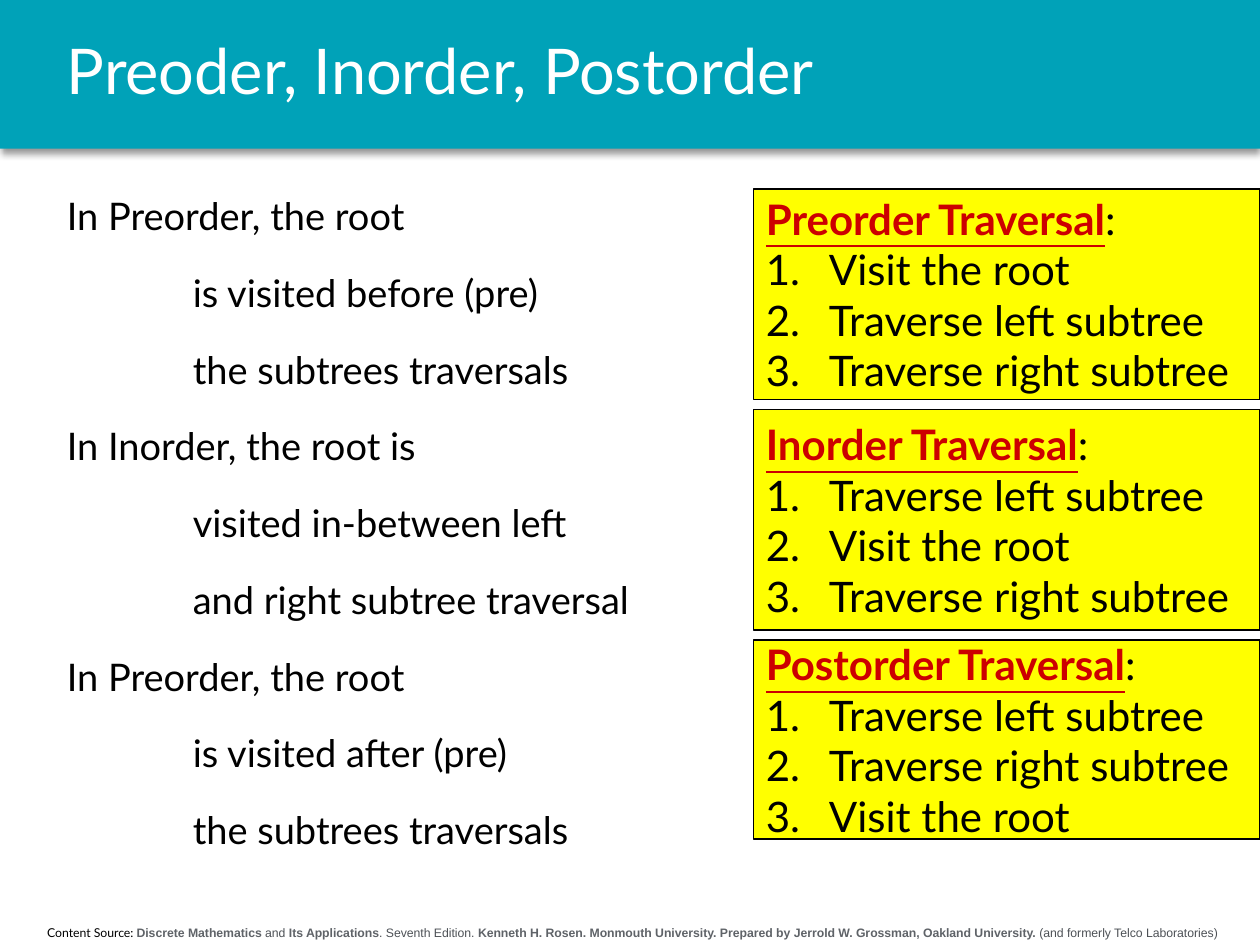
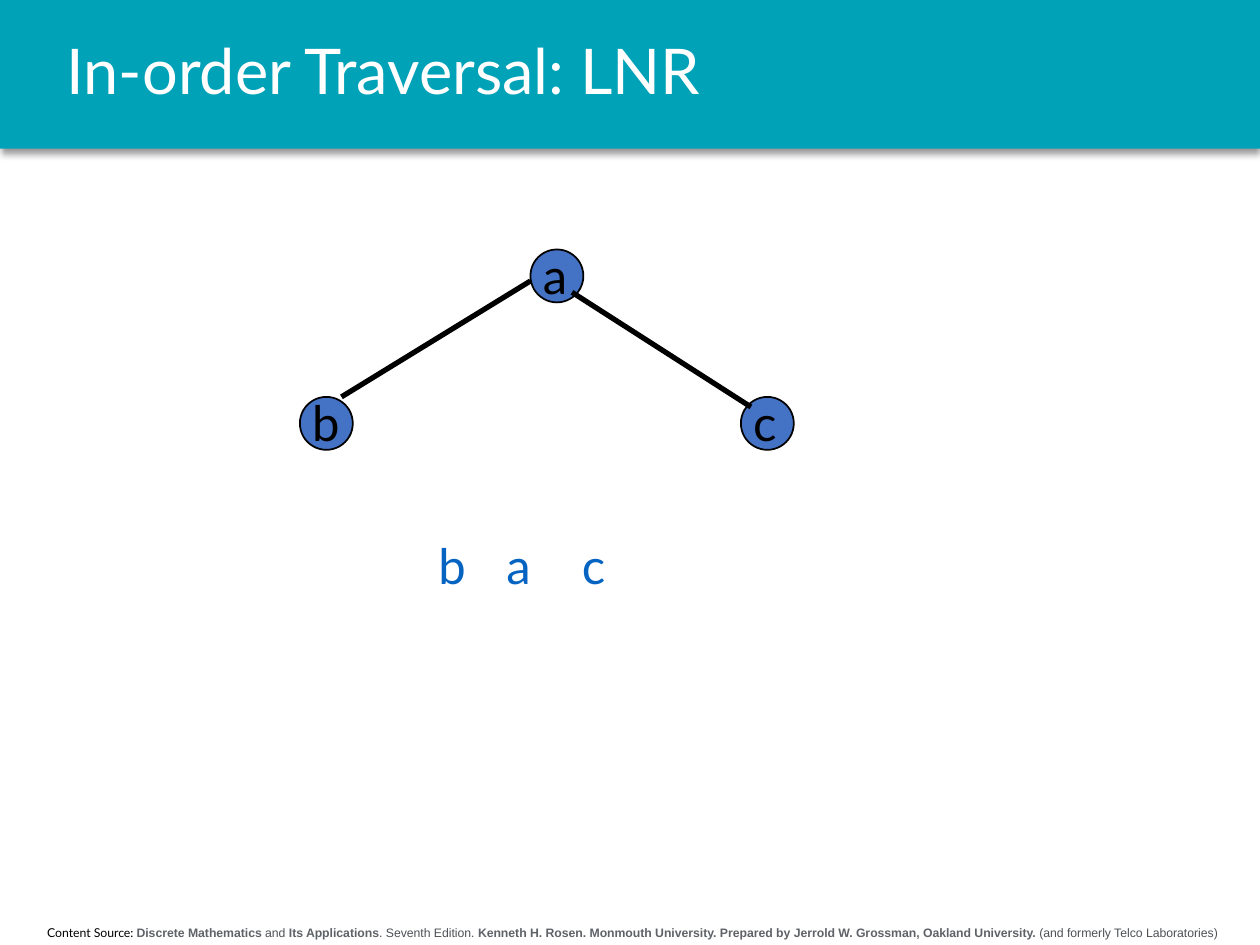
from lxml import etree
from pptx import Presentation
from pptx.dml.color import RGBColor
from pptx.enum.shapes import MSO_CONNECTOR, MSO_SHAPE
from pptx.enum.text import MSO_ANCHOR, MSO_AUTO_SIZE, PP_ALIGN
from pptx.oxml import parse_xml
from pptx.oxml.ns import nsdecls, qn
from pptx.util import Inches, Pt

RECT, OVAL = MSO_SHAPE.RECTANGLE, MSO_SHAPE.OVAL
STRAIGHT = MSO_CONNECTOR.STRAIGHT
MIDDLE, FIXED = MSO_ANCHOR.MIDDLE, MSO_AUTO_SIZE.NONE
LEFT, CENTER, JUSTIFY = PP_ALIGN.LEFT, PP_ALIGN.CENTER, PP_ALIGN.JUSTIFY

TEAL = RGBColor(0x00, 0xA2, 0xB8)
WHITE = RGBColor(0xFF, 0xFF, 0xFF)
BLACK = RGBColor(0x00, 0x00, 0x00)
YELLOW = RGBColor(0xFF, 0xFF, 0x00)
RED = RGBColor(0xCC, 0x00, 0x00)
BLUE = RGBColor(0x44, 0x72, 0xC4)
LINK = RGBColor(0x05, 0x63, 0xC1)
GRAY = RGBColor(0x5F, 0x63, 0x68)
SLATE = RGBColor(0x4D, 0x51, 0x56)
SANS, PLAIN = "Lato", "Arial"

CREDIT = [
    ("Content Source: ", SANS, BLACK, False),
    ("Discrete Mathematics", PLAIN, GRAY, True),
    (" and ", PLAIN, SLATE, False),
    ("Its Applications", PLAIN, GRAY, True),
    (". Seventh Edition. ", PLAIN, SLATE, False),
    ("Kenneth H. Rosen. Monmouth University. Prepared by "
     "Jerrold W. Grossman, Oakland University.", PLAIN, GRAY, True),
    (" (and formerly Telco Laboratories)", PLAIN, SLATE, False),
]
NOTES = [
    ("In Preorder, the root",
     "is visited before (pre)", "the subtrees traversals"),
    ("In Inorder, the root is",
     "visited in-between left", "and right subtree traversal"),
    ("In Preorder, the root",
     "is visited after (pre)", "the subtrees traversals"),
]
ROOT, LSUB, RSUB = ("Visit the root", "Traverse left subtree",
                    "Traverse right subtree")
RULES = [
    ("Preorder Traversal", 1.67, (ROOT, LSUB, RSUB)),
    ("Inorder Traversal", 1.75, (LSUB, ROOT, RSUB)),
    ("Postorder Traversal", 1.58, (LSUB, RSUB, ROOT)),
]
NODES = [("a", 1.83, 0.08), ("b", 0, 1.25), ("c", 3.5, 1.25)]
EDGES = [(1.83, 0.33, 0.33, 1.25), (2.16, 0.42, 3.58, 1.33)]
ORDER = [("b", 0), ("a", 0.54), ("c", 1.14)]


def box(x, y, w, h):
    """Turn a box in inches into lengths."""
    return [Inches(n) for n in (x, y, w, h)]


def style(run, size, color, face=SANS, bold=False):
    """Set the font of a run."""
    font = run.font
    font.name, font.size, font.bold = face, Pt(size), bold
    font.color.rgb = color


def add_run(para, text, *look):
    """Append a styled run and return it."""
    run = para.add_run()
    run.text = text
    style(run, *look)
    return run


def indent(para, left, first, *bullet):
    """Set the indents of a paragraph and its bullet elements."""
    props = para._p.get_or_add_pPr()
    props.set("marL", str(Inches(left)))
    props.set("indent", str(Inches(first)))
    for tag, attrs in bullet:
        etree.SubElement(props, qn(tag), attrs)


def add_form(shapes, kind, area, fill, width=None):
    """Add a flat shape, with a black line if a width is given."""
    form = shapes.add_shape(kind, *box(*area))
    form.shadow.inherit = False
    form.fill.solid()
    form.fill.fore_color.rgb = fill
    if width:
        form.line.color.rgb = BLACK
        form.line.width = Pt(width)
    else:
        form.line.fill.background()
    return form


def add_label(shapes, text, area, color):
    """Add a node letter in a text box."""
    frame = shapes.add_textbox(*box(*area)).text_frame
    frame.word_wrap = True
    add_run(frame.paragraphs[0], text, 28, color)


def add_band(slide, area):
    """Add the title band with its soft shadow."""
    band = add_form(slide.shapes, RECT, area, TEAL)
    effect = band.element.spPr.find(qn("a:effectLst"))
    effect.append(parse_xml(
        f'<a:outerShdw {nsdecls("a")} blurRad="{Pt(4)}" dist="{Pt(3)}" '
        'dir="5400000" algn="t" rotWithShape="0"><a:srgbClr val="000000">'
        '<a:alpha val="40000"/></a:srgbClr></a:outerShdw>'))
    return band


def add_foot(slide, area):
    """Add the source line."""
    foot = slide.shapes.add_textbox(*box(*area))
    foot.text_frame.word_wrap = True
    para = foot.text_frame.paragraphs[0]
    para.alignment = CENTER
    for text, face, color, bold in CREDIT:
        add_run(para, text, 7, color, face, bold)
    return foot


def dress(deck, slide):
    """Build the band and source line and move them to the master."""
    tree = deck.slide_master.element.cSld.spTree
    parts = add_band(slide, (0, 0, 10, 1.18)), add_foot(slide, (0.04, 7.29, 9.96, 0.22))
    for spot, part in enumerate(parts):
        part.element.nvSpPr.cNvPr.set("id", str(100 + spot))
        tree.insert(2 + spot, part.element)


def place(holder, area):
    """Move a placeholder and return its cleared text frame."""
    holder.left, holder.top, holder.width, holder.height = box(*area)
    frame = holder.text_frame
    frame.auto_size, frame.word_wrap = FIXED, True
    return frame


def add_title(slide, text):
    """Fill the title placeholder."""
    frame = place(slide.shapes.title, (0.43, 0, 9.3, 1.18))
    frame.vertical_anchor = MIDDLE
    para = frame.paragraphs[0]
    para.alignment, para.line_spacing = LEFT, 0.9
    add_run(para, text, 36, WHITE)


def add_notes(slide, area):
    """Fill the body placeholder with the three explanations."""
    frame = place(slide.placeholders[1], area)
    lines = [(text, min(pos, 1)) for group in NOTES
             for pos, text in enumerate(group)]
    for pos, (text, left) in enumerate(lines):
        para = frame.add_paragraph() if pos else frame.paragraphs[0]
        indent(para, left, 0, ("a:buNone", {}))
        para.line_spacing = 1.3
        para.space_before = Pt(10 if pos else 0)
        add_run(para, text, 21.7, BLACK)


def add_rule(slide, area, head, steps):
    """Add a yellow box with a heading and numbered steps."""
    frame = add_form(slide.shapes, RECT, area, YELLOW, 0.75).text_frame
    frame.word_wrap, frame.vertical_anchor = False, MIDDLE
    para = frame.paragraphs[0]
    para.alignment = JUSTIFY
    indent(para, 0.5, -0.5)
    add_run(para, head, 24, RED, SANS, True).font.underline = True
    add_run(para, ":", 24, BLACK)
    for step in steps:
        para = frame.add_paragraph()
        para.alignment = JUSTIFY
        indent(para, 0.5, -0.5, ("a:buFont", {"typeface": SANS}),
               ("a:buAutoNum", {"type": "arabicPeriod"}))
        add_run(para, step, 24, BLACK)


def add_rules(slide, x, y, w, gap):
    """Stack the boxes of rules."""
    for head, h, steps in RULES:
        add_rule(slide, (x, y, w, h), head, steps)
        y += h + gap


def add_tree(slide, x, y):
    """Draw the grouped tree from its top left corner."""
    shapes = slide.shapes.add_group_shape().shapes
    for _, dx, dy in NODES:
        add_form(shapes, OVAL, (x + dx, y + dy, 0.42, 0.42), BLUE, 1)
    for x1, y1, x2, y2 in EDGES:
        edge = shapes.add_connector(
            STRAIGHT, *box(x + x1, y + y1, x + x2, y + y2))
        edge.line.color.rgb = BLACK
        edge.line.width = Pt(3)
        etree.SubElement(edge.element.spPr, qn("a:effectLst"))
    for text, dx, dy in NODES:
        add_label(shapes, text, (x + dx, y + dy - 0.08, 0.83, 0.57), BLACK)


def add_order(slide, x, y):
    """Write the visited letters in a row."""
    for text, dx in ORDER:
        add_label(slide.shapes, text, (x + dx, y, 0.42, 0.57), LINK)


def main():
    """Build both slides and save them."""
    deck = Presentation()
    deck.slide_width, deck.slide_height = Inches(10), Inches(7.5)
    rules = deck.slides.add_slide(deck.slide_layouts[1])
    dress(deck, rules)
    add_title(rules, "Preoder, Inorder, Postorder")
    add_notes(rules, (0.43, 1.37, 5.04, 5.84))
    add_rules(rules, 5.98, 1.5, 4.02, 0.08)
    walk = deck.slides.add_slide(deck.slide_layouts[5])
    add_title(walk, "In-order Traversal: LNR")
    add_tree(walk, 2.38, 1.9)
    add_order(walk, 3.38, 4.2)
    deck.save("out.pptx")


if __name__ == "__main__":
    main()
